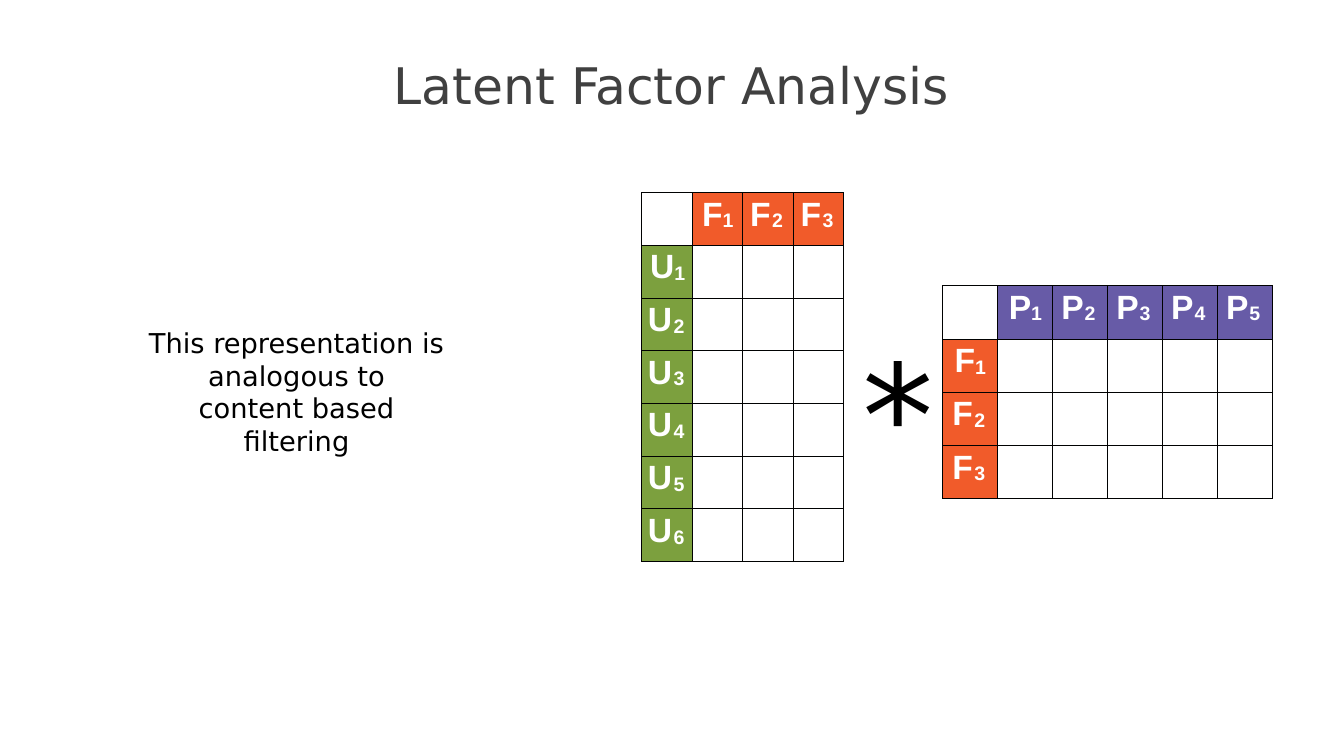
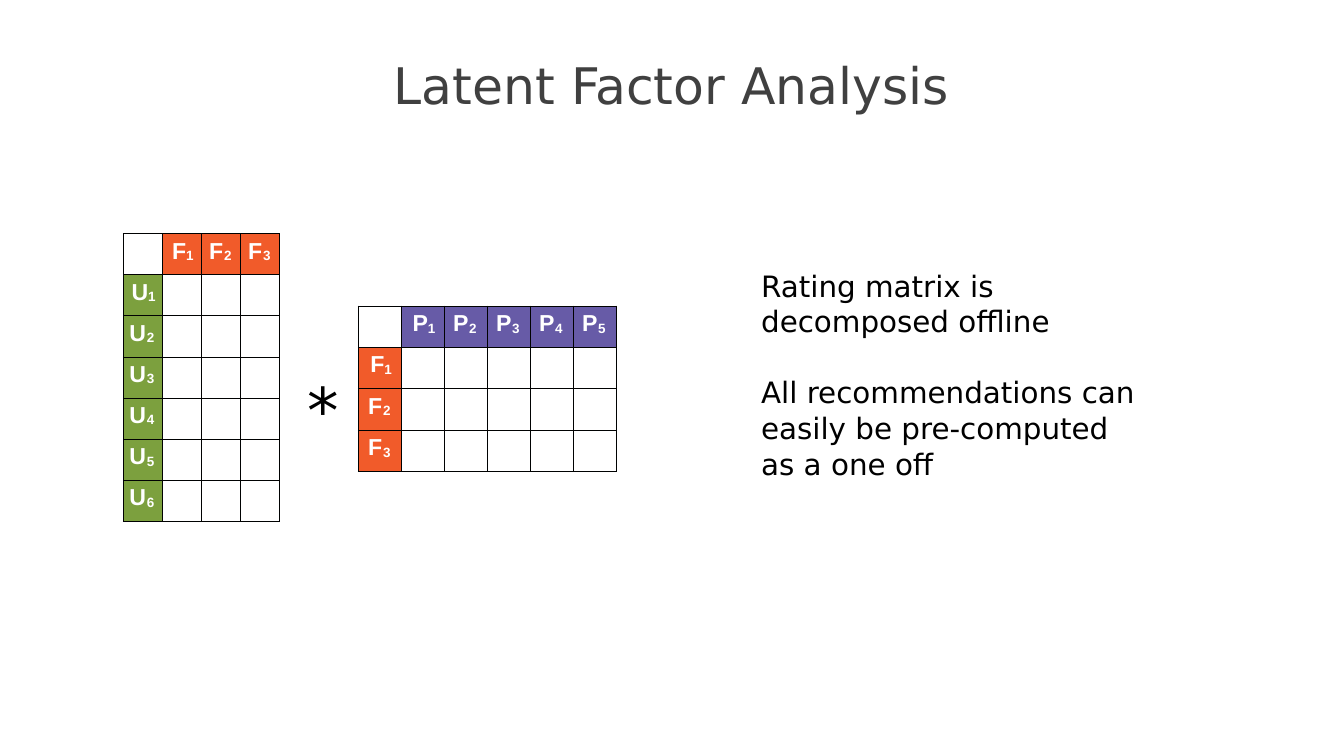
from lxml import etree
from pptx import Presentation
from pptx import util as u
from pptx.dml.color import RGBColor
from pptx.enum import text as t
from pptx.oxml import ns

WIDE, HIGH = u.Inches(17.78), u.Inches(10)
THEME = {
    "color": {"ink": "000000", "title": "404040", "head": "FFFFFF", "line": "000101",
              "F": "F15B2A", "U": "7CA03E", "P": "675BA7"},
    "font": {"text": "DejaVu Sans", "head": "Arial"},
    "title": {"size": 48, "tone": "title", "format": {"space_before": u.Pt(1)}},
    "note": {"size": 26, "tone": "ink",
             "format": {"alignment": t.PP_ALIGN.CENTER, "line_spacing": u.Pt(31),
                        "space_before": u.Pt(2.2)}},
    "point": {"size": 28, "tone": "ink",
              "format": {"line_spacing": 1.01, "space_before": u.Pt(0.6)}},
    "frame": {"margin_left": u.Inches(0.01), "margin_right": 0, "margin_top": u.Inches(0.01),
              "margin_bottom": 0, "word_wrap": True, "vertical_anchor": t.MSO_ANCHOR.TOP,
              "auto_size": t.MSO_AUTO_SIZE.SHAPE_TO_FIT_TEXT},
}
COLOR = THEME["color"]


def share(left, top, width, height):
    return [int(part * side / 100)
            for part, side in zip((left, top, width, height), (WIDE, HIGH, WIDE, HIGH))]


def write(box, words, style):
    frame = box.text_frame
    for key, value in THEME["frame"].items():
        setattr(frame, key, value)
    para = frame.paragraphs[0]
    para.text = words
    for key, value in {"alignment": t.PP_ALIGN.LEFT, **style["format"]}.items():
        setattr(para, key, value)
    for run in para.runs:
        run.font.name = THEME["font"]["text"]
        run.font.size = u.Pt(style["size"])
        run.font.color.rgb = RGBColor.from_string(COLOR[style["tone"]])


STAR = {"tone": "ink", "format": {"space_before": u.Pt(1)}}
SLIDES = [
    {
        "head": {"size": 32, "drop": -5000, "top": 0.04, "before": 3},
        "grids": [
            {"area": (47.75, 25.5, 15.02, 48.8), "cols": ("F", 3, 0.10), "rows": ("U", 6, 0.08)},
            {"area": (70.13, 37.8, 24.52, 28.2), "cols": ("P", 5, 0.12), "rows": ("F", 3, 0.13)},
        ],
        "texts": [
            ((64.12, 42.9, 4.72, 22.9), "*", {**STAR, "size": 136}),
            ((11.02, 43.1, 22.05, 13.2),
             "This representation is\vanalogous to\vcontent based\vfiltering", THEME["note"]),
        ],
    },
    {
        "head": {"size": 22, "drop": -6000, "top": 0.06, "before": 4},
        "grids": [
            {"area": (9.17, 30.9, 11.64, 38.1), "cols": ("F", 3, 0.10), "rows": ("U", 6, 0.08)},
            {"area": (26.66, 40.5, 19.18, 21.9), "cols": ("P", 5, 0.12), "rows": ("F", 3, 0.13)},
        ],
        "texts": [
            ((22.83, 48.9, 2.19, 10.3), "*", {**STAR, "size": 60}),
            ((56.58, 35.3, 22.1, 9.7), "Rating matrix is\vdecomposed oﬄine", THEME["point"]),
            ((56.58, 49.4, 28.18, 14.4),
             "All recommendations can\veasily be pre-computed\vas a one oﬀ", THEME["point"]),
        ],
    },
]

deck = Presentation()
deck.slide_width, deck.slide_height = WIDE, HIGH

for page in SLIDES:
    slide = deck.slides.add_slide(deck.slide_layouts[5])
    title = slide.shapes.title
    for key, value in zip(("left", "top", "width", "height"), share(29.25, 7.1, 41.45, 8.3)):
        setattr(title, key, value)
    write(title, "Latent Factor Analysis", THEME["title"])

    head = page["head"]
    for grid in page["grids"]:
        rows, cols = grid["rows"][1] + 1, grid["cols"][1] + 1
        area = share(*grid["area"])
        table = slide.shapes.add_table(rows, cols, *area).table
        table.first_row = table.horz_banding = False
        for col in table.columns:
            col.width = area[2] // cols
        for row in table.rows:
            row.height = area[3] // rows

        for r in range(rows):
            for c in range(cols):
                cell = table.cell(r, c)
                props = cell._tc.get_or_add_tcPr()
                for side in ("a:lnL", "a:lnR", "a:lnT", "a:lnB"):
                    line = etree.SubElement(props, ns.qn(side), w=str(u.Pt(1)))
                    fill = etree.SubElement(line, ns.qn("a:solidFill"))
                    etree.SubElement(fill, ns.qn("a:srgbClr"), val=COLOR["line"])
                if (r == 0) == (c == 0):
                    cell.fill.background()
                    continue

                name, _, pad = grid["cols"] if r == 0 else grid["rows"]
                index = r + c
                cell.fill.solid()
                cell.fill.fore_color.rgb = RGBColor.from_string(COLOR[name])
                inset = {"margin_left": pad + (0.03 if index == 1 else 0), "margin_right": 0,
                         "margin_top": head["top"], "margin_bottom": 0}
                for key, value in inset.items():
                    setattr(cell, key, u.Inches(value))
                para = cell.text_frame.paragraphs[0]
                para.space_before = u.Pt(head["before"])
                gap = -0.8 if index == 1 else 0.8 if name == "P" else 1.4
                for word, drop in ((name, 0), (str(index), head["drop"])):
                    run = para.add_run()
                    run.text = word
                    style = {"name": THEME["font"]["head"], "size": u.Pt(head["size"]), "bold": True}
                    for key, value in style.items():
                        setattr(run.font, key, value)
                    run.font.color.rgb = RGBColor.from_string(COLOR["head"])
                    look = run._r.get_or_add_rPr()
                    look.set("spc", str(round(gap * head["size"] / 32 * 100)))
                    look.set("baseline", str(drop))

    for area, words, style in page["texts"]:
        write(slide.shapes.add_textbox(*share(*area)), words, style)

deck.save("out.pptx")
